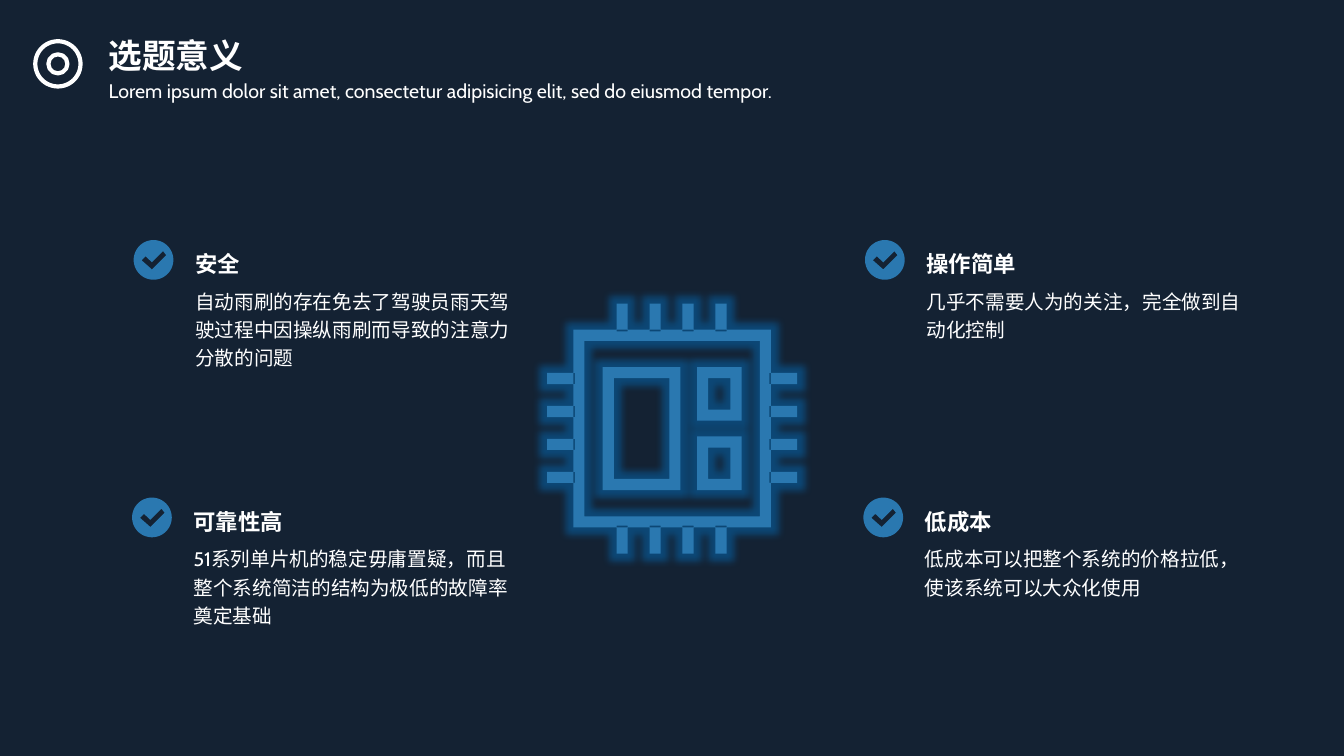
from math import cos, pi, sin
from lxml import etree
from pptx import Presentation
from pptx.dml.color import RGBColor
from pptx.enum.shapes import MSO_SHAPE
from pptx.enum.text import MSO_AUTO_SIZE
from pptx.oxml import parse_xml
from pptx.util import Cm, Pt

OVAL = MSO_SHAPE.OVAL
GROW = MSO_AUTO_SIZE.SHAPE_TO_FIT_TEXT
NS = "http://schemas.openxmlformats.org/drawingml/2006/main"
NAVY, BLUE, WHITE, GLOW = "142233", "2A78B0", "FFFFFF", "007FDA"
TICK = [(0.46, 0.74), (0.2, 0.51), (0.3, 0.41), (0.46, 0.56), (0.74, 0.28), (0.82, 0.38)]
CARDS = [
    (3.37, 6.05, "安全", "自动雨刷的存在免去了驾驶员雨天驾驶过程中因操纵雨刷而导致的注意力分散的问题"),
    (21.8, 6.05, "操作简单", "几乎不需要人为的关注，完全做到自动化控制"),
    (3.33, 12.54, "可靠性高", "51系列单片机的稳定毋庸置疑，而且整个系统简洁的结构为极低的故障率奠定基础"),
    (21.76, 12.54, "低成本", "低成本可以把整个系统的价格拉低，使该系统可以大众化使用"),
]


def color(code):
    return RGBColor.from_string(code)


def write(slide, x, y, w, h, text, size, bold=False, wrap=True, before=0):
    box = slide.shapes.add_textbox(Cm(x), Cm(y), Cm(w), Cm(h))
    frame = box.text_frame
    frame.word_wrap = wrap
    frame.auto_size = GROW
    para = frame.paragraphs[0]
    para.text = text
    para.line_spacing = 1.2
    para.space_before = Pt(before)
    para.font.name = "Cabin"
    para.font.size = Pt(size)
    para.font.bold = bold
    para.font.color.rgb = color(WHITE)


def trace(slide, x, y, loops):
    pen = None
    for loop in loops:
        dots = [(Cm(a), Cm(b)) for a, b in loop]
        if pen is None:
            pen = slide.shapes.build_freeform(*dots[0])
        else:
            pen.move_to(*dots[0])
        pen.add_line_segments(dots[1:], close=True)
    shape = pen.convert_to_shape(Cm(x), Cm(y))
    shape.shadow.inherit = False
    shape.fill.solid()
    shape.fill.fore_color.rgb = color(BLUE)
    shape.line.fill.background()
    return shape


def rect(x, y, w, h):
    return [(x, y), (x + w, y), (x + w, y + h), (x, y + h)]


def ring(x, y, w, h, wall=0.28):
    hole = rect(x + wall, y + wall, w - 2 * wall, h - 2 * wall)
    return [rect(x, y, w, h), hole[::-1]]


def header(slide, x, y):
    for inset, size in ((0, 1.14), (0.33, 0.48)):
        disc = slide.shapes.add_shape(OVAL, Cm(x + inset), Cm(y + 0.48 + inset), Cm(size), Cm(size))
        disc.shadow.inherit = False
        disc.fill.background()
        disc.line.color.rgb = color(WHITE)
        disc.line.width = Pt(3)
    write(slide, x + 1.6, y + 1.19, 19.94, 0.91,
          "Lorem ipsum dolor sit amet, consectetur adipisicing elit, sed do eiusmod tempor.",
          14, before=10)
    write(slide, x + 1.6, y, 7.37, 1.37, "选题意义", 24, bold=True)


def card(slide, x, y, title, body):
    turns = [2 * pi * i / 72 for i in range(72)]
    disc = [(0.5 + 0.5 * cos(t), 0.5 + 0.5 * sin(t)) for t in turns]
    trace(slide, x, y, [disc, TICK])
    write(slide, x + 1.3, y, 0.5 + 0.57 * len(title), 1.02, title, 16, bold=True, wrap=False)
    write(slide, x + 1.3, y + 1.01, 8.64, 1.63, body, 14)


def chip(slide, x, y):
    loops = ring(0.66, 0.66, 4.98, 4.98)
    loops += ring(1.4, 1.6, 1.96, 3.1)
    for top in (1.6, 3.35):
        loops += ring(3.78, top, 1.12, 1.35)
    for i in range(4):
        step = 1.75 + 0.83 * i
        for edge in (0, 5.6):
            loops += [rect(step, edge, 0.28, 0.7), rect(edge, step, 0.7, 0.28)]
    shape = trace(slide, x, y, loops)
    effect = shape.element.spPr.find(f"{{{NS}}}effectLst")
    glow = parse_xml(f'<a:glow xmlns:a="{NS}" rad="{Pt(11)}"/>')
    tint = etree.SubElement(glow, f"{{{NS}}}srgbClr", val=GLOW)
    etree.SubElement(tint, f"{{{NS}}}alpha", val="40000")
    effect.append(glow)


def build():
    deck = Presentation()
    deck.slide_width, deck.slide_height = Cm(33.87), Cm(19.05)
    slide = deck.slides.add_slide(deck.slide_layouts[6])
    slide.background.fill.solid()
    slide.background.fill.fore_color.rgb = color(NAVY)
    header(slide, 0.89, 0.56)
    for item in CARDS:
        card(slide, *item)
    chip(slide, 13.79, 7.65)
    deck.save("out.pptx")


build()
